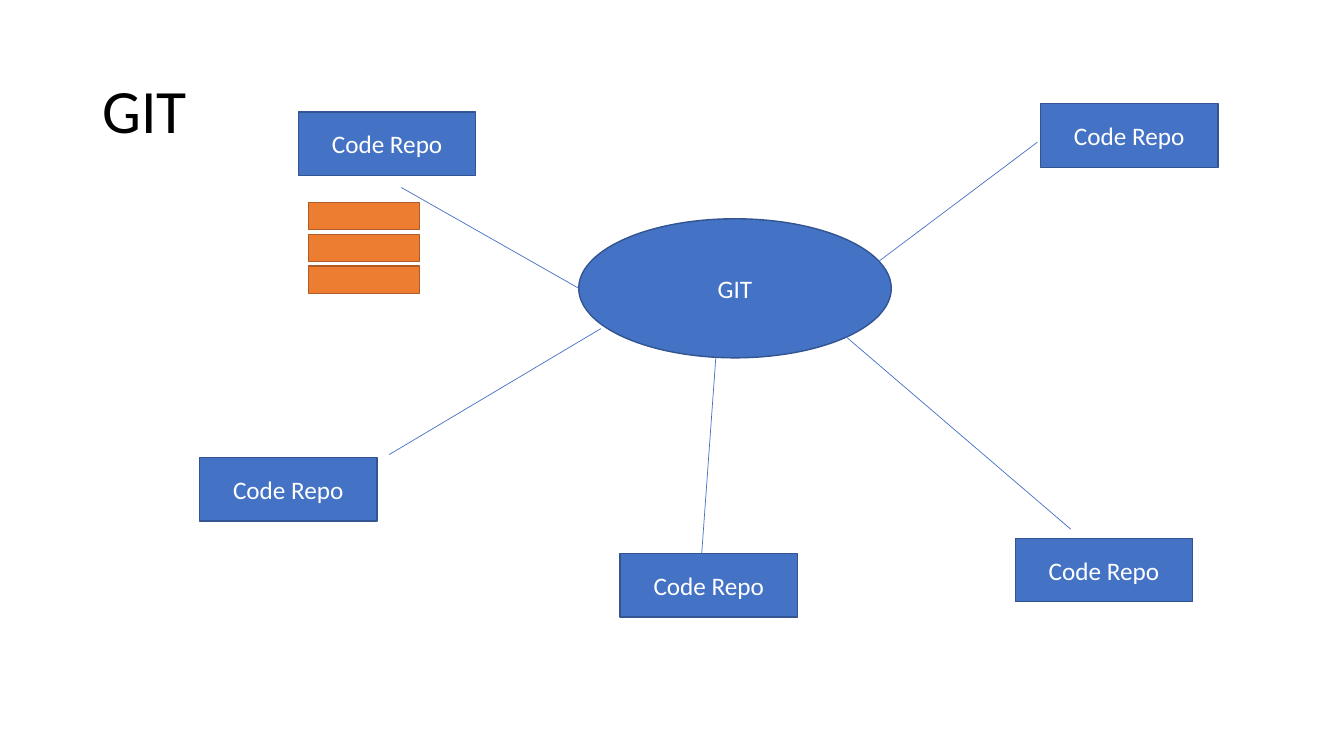
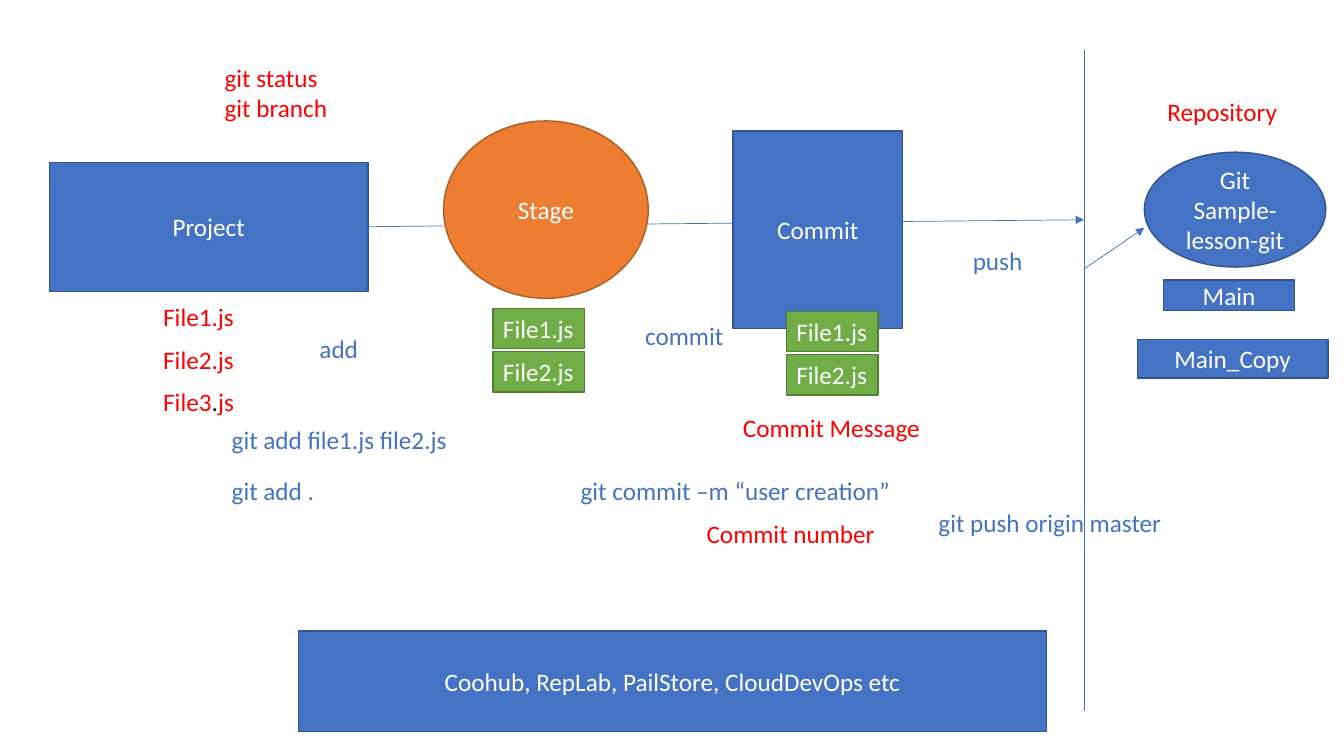
from dataclasses import dataclass

from lxml import etree
from pptx import Presentation
from pptx import util as u
from pptx.dml import color
from pptx.enum import shapes, text
from pptx.oxml import ns

RECT = shapes.MSO_SHAPE.RECTANGLE
OVAL = shapes.MSO_SHAPE.OVAL


@dataclass(frozen=True)
class Theme:
    font: str = "Calibri"
    title: int = 44
    body: int = 18
    edge: float = 1
    thin: float = 0.5
    row: float = 0.4
    black: str = "000000"
    white: str = "FFFFFF"
    red: str = "FF0000"
    ink: str = "4472C4"
    blue: tuple = ("4472C4", "325491")
    orange: tuple = ("ED7D31", "AF5C24")
    green: tuple = ("70AD47", "538035")


T = Theme()


def rgb(code):
    return color.RGBColor.from_string(code)


def style(para, size, tint, align):
    para.alignment = align
    para.font.name = T.font
    para.font.size = u.Pt(size)
    para.font.color.rgb = rgb(tint)


def write(frame, words, tint, size=T.body, align=text.PP_ALIGN.LEFT):
    for i, line in enumerate(words.split("\n")):
        para = frame.paragraphs[0] if i == 0 else frame.add_paragraph()
        para.add_run().text = line
        style(para, size, tint, align)


def block(slide, box, words="", pair=T.blue, kind=RECT, tag=False):
    shape = slide.shapes.add_shape(kind, *map(u.Inches, box))
    shape.shadow.inherit = False
    shape.fill.solid()
    shape.fill.fore_color.rgb = rgb(pair[0])
    shape.line.color.rgb = rgb(pair[1])
    shape.line.width = u.Pt(T.edge)
    frame = shape.text_frame
    frame.word_wrap = not tag
    frame.vertical_anchor = text.MSO_ANCHOR.TOP if tag else text.MSO_ANCHOR.MIDDLE
    if words:
        align = text.PP_ALIGN.LEFT if tag else text.PP_ALIGN.CENTER
        write(frame, words, T.white, align=align)
    return shape


def label(slide, box, words, tint=T.ink, wrap=True):
    frame = slide.shapes.add_textbox(*map(u.Inches, box)).text_frame
    frame.word_wrap = wrap
    frame.auto_size = text.MSO_AUTO_SIZE.SHAPE_TO_FIT_TEXT
    write(frame, words, tint)
    return frame


def link(slide, start, end, arrow=False):
    line = slide.shapes.add_connector(
        shapes.MSO_CONNECTOR.STRAIGHT, *map(u.Inches, (*start, *end)))
    line.line.color.rgb = rgb(T.ink)
    line.line.width = u.Pt(T.thin)
    if arrow:
        tail = etree.SubElement(line.line._get_or_add_ln(), ns.qn("a:tailEnd"))
        tail.set("type", "triangle")
    etree.SubElement(line._element.spPr, ns.qn("a:effectLst"))


def title(slide, box, words):
    frame = slide.shapes.add_textbox(*map(u.Inches, box)).text_frame
    frame.word_wrap = True
    frame.vertical_anchor = text.MSO_ANCHOR.MIDDLE
    write(frame, words, T.black, T.title)
    frame.paragraphs[0].line_spacing = 0.9


def stack(slide, box, count, step):
    x, y, w, h = box
    for i in range(count):
        block(slide, (x, y + i * step, w, h), pair=T.orange)


def hub(slide, box):
    x, y, w, h = box
    block(slide, box, "GIT", kind=OVAL)
    spokes = (
        ((-1.76, -0.31), (0, 0.69)),
        ((2.94, 0.45), (4.55, -0.76)),
        ((-1.88, 2.34), (0.22, 1.09)),
        ((1.22, 3.32), (1.36, 1.37)),
        ((4.88, 3.08), (2.65, 1.17)),
    )
    for (ax, ay), (bx, by) in spokes:
        link(slide, (x + ax, y + ay), (x + bx, y + by))
    repos = ((-2.78, -1.06), (4.58, -1.14), (-3.76, 2.37), (0.41, 3.32), (4.33, 3.17))
    for dx, dy in repos:
        block(slide, (x + dx, y + dy, 1.76, 0.63), "Code Repo")


def files(slide, x, y):
    for i, name in enumerate(("File1.js", "File2.js")):
        block(slide, (x, y + i * 0.43, 0.91, T.row), name, T.green, tag=True)


def project(slide, box):
    x, y, w, h = box
    block(slide, box, "Project")
    label(slide, (x + 1.64, y - 1.04, 2.57, 0.71), "git status\ngit branch", T.red)
    for dy, name in ((1.33, "File1.js"), (1.76, "File2.js")):
        label(slide, (x + 1.03, y + dy, 0.91, T.row), name, T.red, False)
    last = label(slide, (x + 1.03, y + 2.17, 0.91, T.row), "File3", T.red, False)
    para = last.paragraphs[0]
    for part, tint in ((".", T.black), ("js", T.red)):
        run = para.add_run()
        run.text = part
        run.font.color.rgb = rgb(tint)
    label(slide, (x + 2.58, y + 1.65, 0.76, T.row), "add")
    for dy, words in ((2.55, "git add file1.js file2.js"), (3.06, "git add .")):
        label(slide, (x + 1.71, y + dy, 2.5, T.row), words)


def stage(slide, box):
    x, y, w, h = box
    block(slide, box, "Stage", T.orange, OVAL)
    files(slide, x + 0.49, y + 1.86)
    label(slide, (x + 1.9, y + 1.93, 1.08, T.row), "commit")


def commit(slide, box):
    x, y, w, h = box
    block(slide, box, "Commit")
    files(slide, x + 0.53, y + 1.79)
    label(slide, (x, y + 2.74, 1.98, T.row), "Commit Message", T.red, False)
    label(slide, (x - 1.61, y + 3.37, 4.21, T.row), "git commit –m “user creation”")
    label(slide, (x - 0.36, y + 3.79, 2.06, T.row), "Commit number", T.red)


def border(slide, box):
    x, y, w, h = box
    link(slide, (x, y), (x, y + h))
    link(slide, (x, y + 2.17), (x + w, y + 1.76), True)
    label(slide, (x - 1.2, y + 1.88, 0.7, T.row), "push", wrap=False)
    label(slide, (x - 1.54, y + 4.48, 2.54, T.row), "git push origin master")


def remote(slide, box):
    x, y, w, h = box
    label(slide, (x + 0.13, y - 0.6, 1.3, T.row), "Repository", T.red, False)
    block(slide, box, "Git\nSample-lesson-git", kind=OVAL)
    block(slide, (x + 0.19, y + 1.27, 1.3, 0.3), "Main")
    block(slide, (x - 0.07, y + 1.86, 1.89, 0.38), "Main_Copy")


def network(slide):
    title(slide, (0.92, 0.4, 11.5, 1.45), "GIT")
    hub(slide, (5.74, 2.17, 3.1, 1.38))
    stack(slide, (3.06, 2.01, 1.1, 0.27), 3, 0.315)


def flow(slide):
    project(slide, (0.49, 1.61, 3.16, 1.28))
    link(slide, (3.54, 2.25), (10.75, 2.18), True)
    stage(slide, (4.4, 1.2, 2.03, 1.76))
    commit(slide, (7.27, 1.3, 1.68, 1.96))
    border(slide, (10.75, 0.5, 0.6, 6.55))
    remote(slide, (11.35, 1.51, 1.8, 1.14))
    block(slide, (2.96, 6.26, 7.42, 1), "Coohub, RepLab, PailStore, CloudDevOps etc")


def main():
    deck = Presentation()
    deck.slide_width = u.Inches(13.33)
    deck.slide_height = u.Inches(7.5)
    for build in (network, flow):
        build(deck.slides.add_slide(deck.slide_layouts[6]))
    deck.save("out.pptx")


if __name__ == "__main__":
    main()
